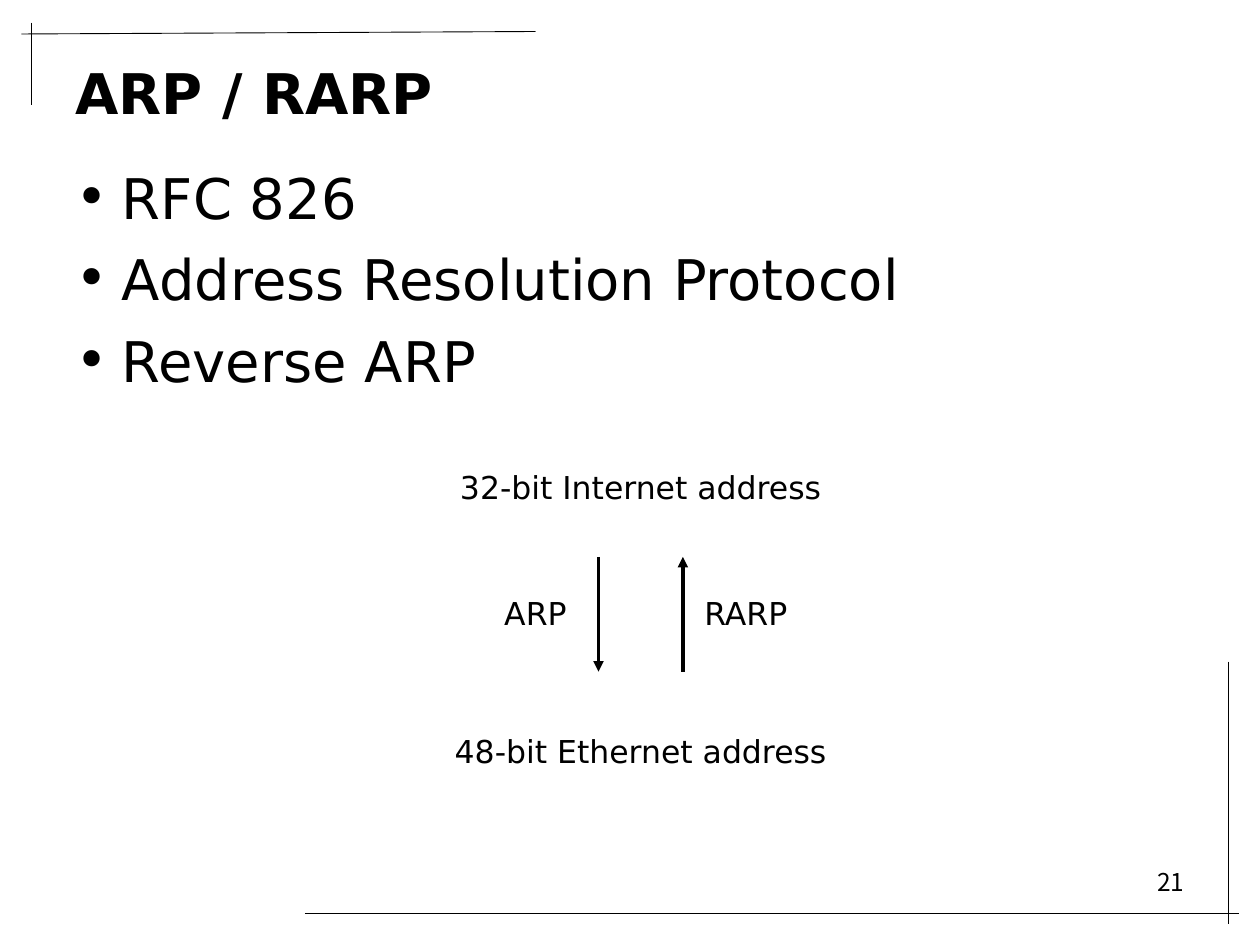
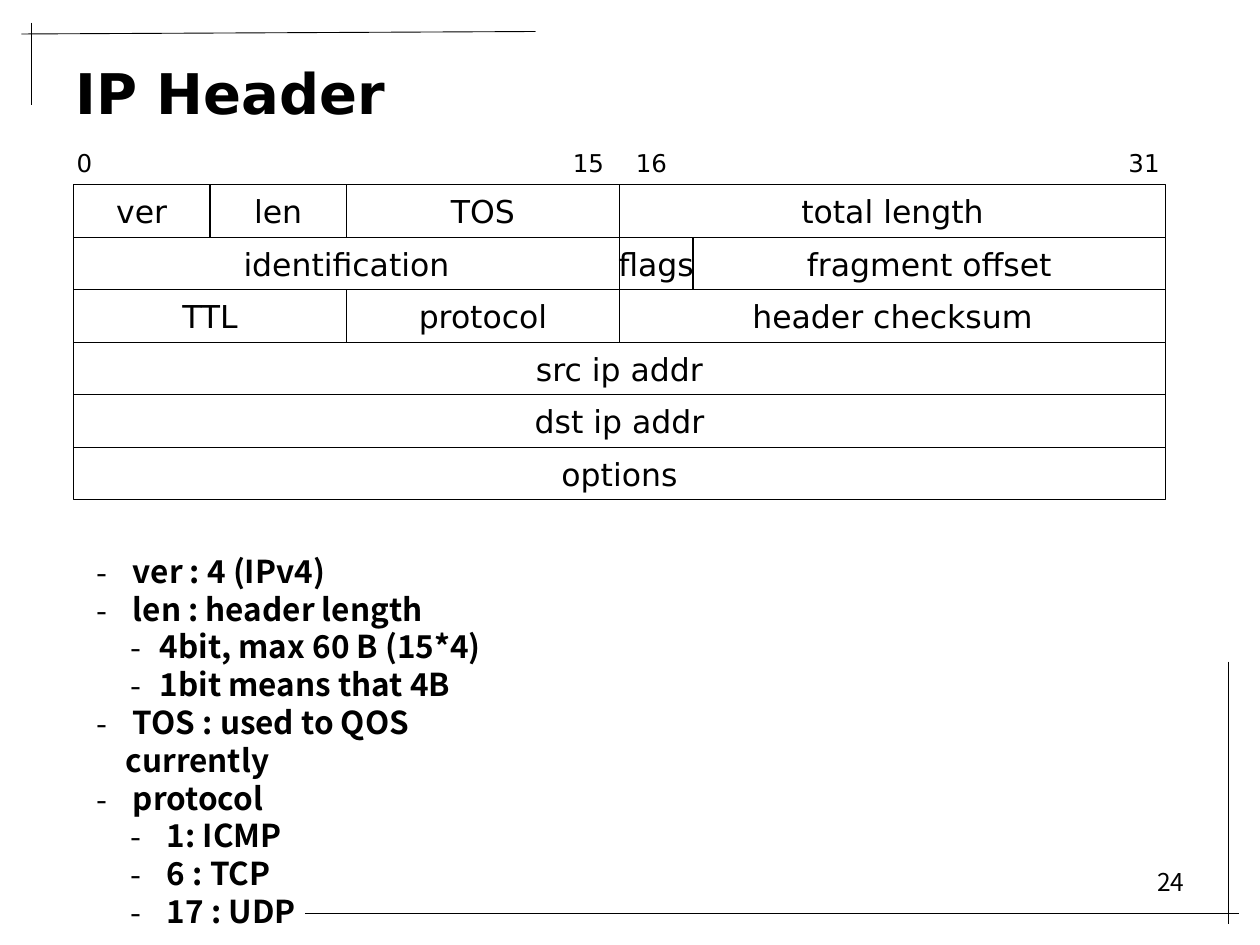
from dataclasses import dataclass

from lxml import etree
from pptx import Presentation
from pptx.dml.color import RGBColor
from pptx.enum.shapes import MSO_CONNECTOR, MSO_SHAPE
from pptx.enum.text import MSO_ANCHOR, PP_ALIGN
from pptx.oxml.ns import qn
from pptx.util import Inches, Pt

LINE = MSO_CONNECTOR.STRAIGHT
RECT = MSO_SHAPE.RECTANGLE
TOP, MID = MSO_ANCHOR.TOP, MSO_ANCHOR.MIDDLE
LEFT, RIGHT, MID_TEXT = PP_ALIGN.LEFT, PP_ALIGN.RIGHT, PP_ALIGN.CENTER


@dataclass(frozen=True)
class Theme:
    ink: RGBColor = RGBColor(0, 0, 0)
    paper: RGBColor = RGBColor(255, 255, 255)
    sans: str = "DejaVu Sans"
    korean: str = "Noto Sans CJK KR"
    head: int = 32
    label: int = 18
    small: int = 14
    gap: int = 8
    rule: float = 0.5
    edge: float = 0.75
    arrow: float = 2


THEME = Theme()

# Corner rules on each slide: x1, y1, x2, y2
RULES = [
    (2.42, 7.25, 9.83, 7.25),
    (0.17, 0.27, 4.25, 0.25),
    (0.25, 0.18, 0.25, 0.83),
    (9.75, 5.25, 9.75, 7.33),
]

ARP_POINTS = ["RFC 826", "Address Resolution Protocol", "Reverse ARP"]
ARP_LABELS = [
    ("32-bit Internet address", 3.5, 3.66, 3.17),
    ("48-bit Ethernet address", 3.5, 5.75, 3.17),
    ("ARP", 3.83, 4.66, 0.84),
    ("RARP", 5.5, 4.66, 0.84),
]
ARP_ARROWS = [(4.75, 4.42, 4.75, 5.33), (5.42, 5.33, 5.42, 4.42)]

# Header fields row by row, widths in twelfths of an inch
UNIT = 1 / 12
ROW = 5 * UNIT
GRID_X, GRID_Y = 7 * UNIT, 17.6 * UNIT
FIELDS = [
    [("ver", 13), ("len", 13), ("TOS", 26), ("total length", 52)],
    [("identification", 52), ("flags", 7), ("fragment offset", 45)],
    [("TTL", 26), ("protocol", 26), ("header checksum", 52)],
    [("src ip addr", 104)],
    [("dst ip addr", 104)],
    [("options", 104)],
]
BITS = [("0", 0.42), ("15", 4.42), ("16", 4.92), ("31", 8.83)]

# Level and text
NOTES = [
    (0, " ver : 4 (IPv4)"),
    (0, " len : header length"),
    (1, "4bit, max 60 B (15*4)"),
    (1, "1bit means that 4B"),
    (0, " TOS : used to QOS currently"),
    (0, " protocol"),
    (1, " 1: ICMP"),
    (1, " 6 : TCP"),
    (1, " 17 : UDP"),
]
NOTE_INDENTS = [0.23, 0.5]
NOTE_HANG = 0.23


def set_frame(shape, anchor, wrap):
    frame = shape.text_frame
    frame.word_wrap = wrap
    frame.vertical_anchor = anchor
    frame.margin_left = frame.margin_right = Inches(0.1)
    frame.margin_top = frame.margin_bottom = Inches(0.05)
    return frame


def add_box(slide, x, y, w, h, anchor=TOP, wrap=True):
    box = slide.shapes.add_textbox(Inches(x), Inches(y), Inches(w), Inches(h))
    return set_frame(box, anchor, wrap)


def add_run(para, text, size, font=THEME.sans, bold=False, align=LEFT):
    para.alignment = align
    run = para.add_run()
    run.text = text
    run.font.name = font
    run.font.size = Pt(size)
    run.font.bold = bold
    run.font.color.rgb = THEME.ink


def add_bullet(para, mark, font, indent, hang):
    props = para._p.get_or_add_pPr()
    props.set("marL", str(Inches(indent)))
    props.set("indent", str(-Inches(hang)))
    etree.SubElement(props, qn("a:buFont")).set("typeface", font)
    etree.SubElement(props, qn("a:buChar")).set("char", mark)


def next_para(frame, index):
    return frame.add_paragraph() if index else frame.paragraphs[0]


def add_line(slide, ends, width, arrow=False):
    line = slide.shapes.add_connector(LINE, *map(Inches, ends))
    line.line.color.rgb = THEME.ink
    line.line.width = Pt(width)
    if arrow:
        tip = etree.SubElement(line.line._get_or_add_ln(), qn("a:tailEnd"))
        tip.set("type", "triangle")
    etree.SubElement(line._element.spPr, qn("a:effectLst"))


def add_cell(slide, text, x, y, w, edge=False):
    """Add a white box with a centred label, outlined if edge is set."""
    cell = slide.shapes.add_shape(RECT, Inches(x), Inches(y), Inches(w), Inches(ROW))
    cell.shadow.inherit = False
    cell.fill.solid()
    cell.fill.fore_color.rgb = THEME.paper
    if edge:
        cell.line.color.rgb = THEME.ink
        cell.line.width = Pt(THEME.edge)
    else:
        cell.line.fill.background()
    frame = set_frame(cell, MID, False)
    add_run(frame.paragraphs[0], text, THEME.label, align=MID_TEXT)


def add_slide(deck, title, number):
    """Add a blank slide with the shared rules, page number and title."""
    slide = deck.slides.add_slide(deck.slide_layouts[6])
    for ends in RULES:
        add_line(slide, ends, THEME.rule)
    page = add_box(slide, 7.17, 6.83, 2.33, 0.52)
    add_run(page.paragraphs[0], number, THEME.small, THEME.korean, align=RIGHT)
    head = add_box(slide, 0.5, 0.38, 9, 0.7, MID)
    add_run(head.paragraphs[0], title, THEME.head, bold=True)
    return slide


def build_arp(deck):
    slide = add_slide(deck, "ARP / RARP", "21")
    body = add_box(slide, 0.5, 1.25, 9, 5.45)
    for i, text in enumerate(ARP_POINTS):
        para = next_para(body, i)
        add_bullet(para, "•", THEME.sans, 0.37, 0.37)
        if i:
            para.space_before = Pt(THEME.gap)
        add_run(para, text, THEME.head)
    for label in ARP_LABELS:
        add_cell(slide, *label)
    for ends in ARP_ARROWS:
        add_line(slide, ends, THEME.arrow, arrow=True)


def build_header(deck):
    slide = add_slide(deck, "IP Header", "24")
    for i, fields in enumerate(FIELDS):
        x = GRID_X
        for text, units in fields:
            add_cell(slide, text, x, GRID_Y + i * ROW, units * UNIT, edge=True)
            x += units * UNIT
    notes = add_box(slide, 0.67, 4.33, 3.83, 2.8)
    for i, (level, text) in enumerate(NOTES):
        para = next_para(notes, i)
        para.level = level
        add_bullet(para, "-", THEME.korean, NOTE_INDENTS[level], NOTE_HANG)
        add_run(para, text, THEME.label, THEME.korean, bold=True)
    for text, x in BITS:
        mark = add_box(slide, x, 1.08, 0.5, ROW, MID, wrap=False)
        add_run(mark.paragraphs[0], text, THEME.small, align=MID_TEXT)


def main():
    deck = Presentation()
    deck.slide_width, deck.slide_height = Inches(10), Inches(7.5)
    build_arp(deck)
    build_header(deck)
    deck.save("out.pptx")


if __name__ == "__main__":
    main()
